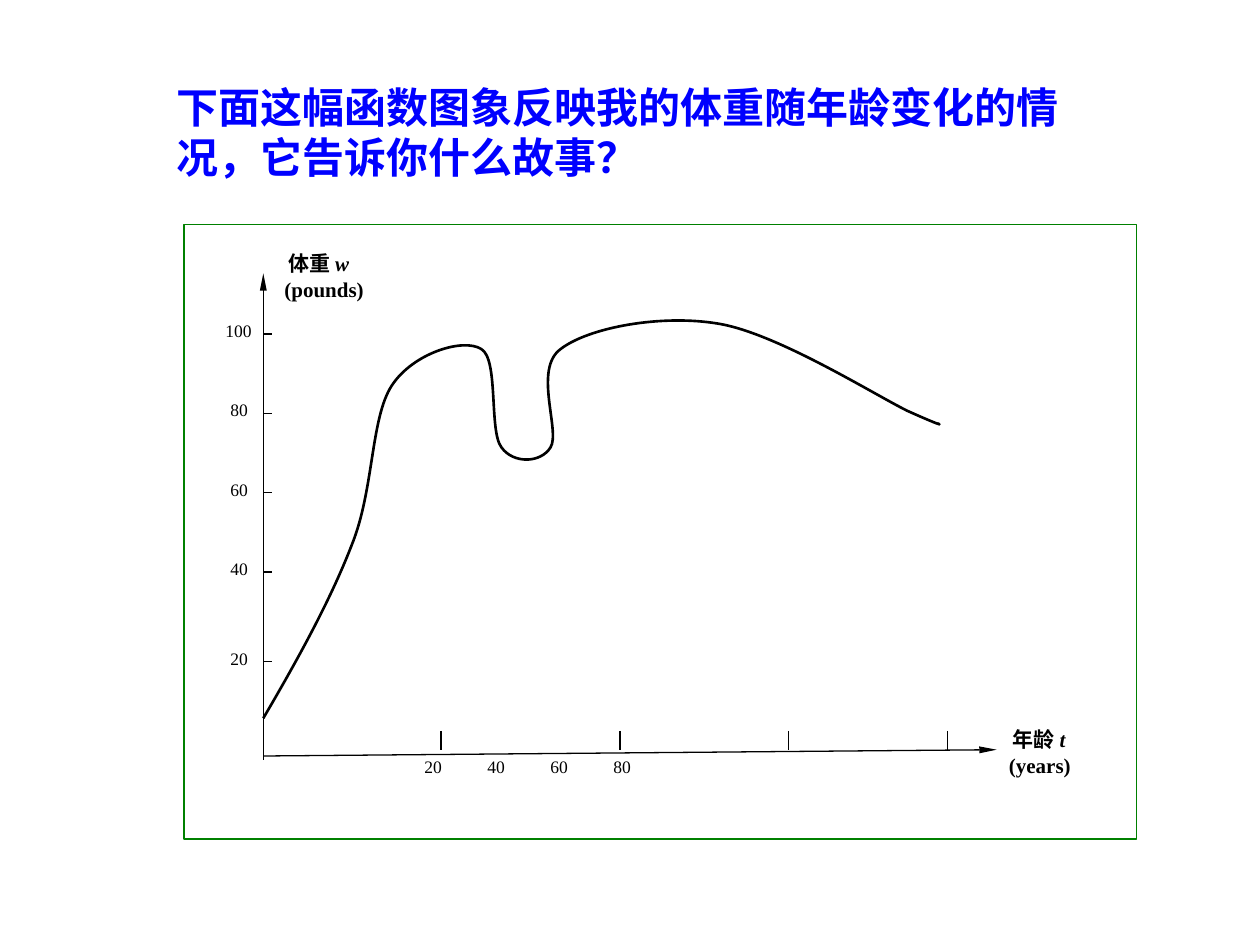
import dataclasses
import typing

import lxml.etree
import pptx
import pptx.dml.color
import pptx.enum.shapes
import pptx.oxml.ns
import pptx.util

EMU_PER_PX = 9144  # 100 px to the inch

Point = tuple[int, int]


@dataclasses.dataclass(frozen=True)
class Theme:
    latin_font: str = "Times New Roman"
    chinese_font: str = "Noto Sans CJK SC"
    title_color: str = "0000FF"
    ink: str = "000000"
    paper: str = "FFFFFF"
    frame_color: str = "008000"
    title_size: float = 24
    axis_size: float = 12
    tick_size: float = 10
    title_spacing: float = 28.6
    axis_spacing: float = 14.9
    thin_line: float = 0.75
    curve_line: float = 1.5


THEME = Theme()


@dataclasses.dataclass(frozen=True)
class Box:
    left: int
    top: int
    width: int
    height: int


@dataclasses.dataclass(frozen=True)
class WeightTick:
    label: str
    position: int
    indent: int


@dataclasses.dataclass(frozen=True)
class AxisTitle:
    name: str
    symbol: str
    unit: str
    box: Box


TITLE = "下面这幅函数图象反映我的体重随年龄变化的情况，它告诉你什么故事？"
TITLE_BOX = Box(130, 60, 732, 90)
FRAME = Box(146, 178, 756, 488)

AXIS_LEFT = 209
WEIGHT_AXIS = ((AXIS_LEFT, 603), (AXIS_LEFT, 217))
AGE_AXIS = ((AXIS_LEFT, 600), (791, 595))
SPECK: Point = (272, 588)
TITLE_INDENT = 3
AXIS_TITLES = [
    AxisTitle("体重 ", "w", " (pounds)", Box(216, 193, 87, 50)),
    AxisTitle("年龄 ", "t", " (years)", Box(791, 571, 87, 50)),
]

AGE_TICKS = [350, 492, 626, 752]
AGE_LABELS = "20\t40\t60\t80"
AGE_LABEL_TABS = [148, 280, 404]
AGE_LABEL_BOX = Box(327, 595, 488, 27)
WEIGHT_TICKS = [
    WeightTick("20", 525, 4),
    WeightTick("40", 454, 4),
    WeightTick("60", 391, 4),
    WeightTick("80", 328, 4),
    WeightTick("100", 265, 0),
]

# Weight curve: a start, then two control points and an end for each segment
CURVE_START: Point = (209, 570)
CURVE_POINTS: list[Point] = [
    (236, 524), (262, 477), (279, 433),
    (297, 389), (294, 332), (311, 306),
    (328, 280), (368, 268), (382, 277),
    (396, 285), (388, 342), (398, 355),
    (407, 368), (429, 368), (437, 355),
    (445, 342), (423, 293), (445, 277),
    (467, 260), (525, 249), (571, 257),
    (617, 265), (692, 312), (720, 326),
    (749, 339), (747, 337), (744, 336),
]


def px(value: int) -> int:
    return value * EMU_PER_PX


def color(value: str) -> pptx.dml.color.RGBColor:
    return pptx.dml.color.RGBColor.from_string(value)


def add_element(parent: typing.Any, tag: str, **attributes: str) -> typing.Any:
    return lxml.etree.SubElement(parent, pptx.oxml.ns.qn(tag), attributes)


def style_line(shape: typing.Any, line_color: str, width: float) -> None:
    shape.line.color.rgb = color(line_color)
    shape.line.width = pptx.util.Pt(width)


def style_run(run: typing.Any, size: float, text_color: str, font: str = THEME.latin_font,
              bold: bool = False, italic: bool = False) -> None:
    run.font.size = pptx.util.Pt(size)
    run.font.bold = bold
    run.font.italic = italic
    run.font.color.rgb = color(text_color)
    run.font.name = font
    add_element(run.font._element, "a:ea", typeface=THEME.chinese_font)


def add_text(slide: typing.Any, box: Box, text: str, indent: int = 0) -> typing.Any:
    shape = slide.shapes.add_textbox(px(box.left), px(box.top), px(box.width), px(box.height))
    shape.text_frame.word_wrap = True
    shape.text_frame.text = text
    paragraph = shape.text_frame.paragraphs[0]
    paragraph._p.get_or_add_pPr().set("indent", str(px(indent)))
    return paragraph


def add_line(slide: typing.Any, start: Point, end: Point, arrow: bool = False) -> None:
    connector = slide.shapes.add_connector(
        pptx.enum.shapes.MSO_CONNECTOR.STRAIGHT, *map(px, start + end))
    style_line(connector, THEME.ink, THEME.thin_line)
    if arrow:
        add_element(connector.line._get_or_add_ln(), "a:tailEnd",
                    type="triangle", w="sm", len="lg")
    add_element(connector._element.spPr, "a:effectLst")


def add_title(slide: typing.Any) -> None:
    paragraph = add_text(slide, TITLE_BOX, TITLE)
    paragraph.line_spacing = pptx.util.Pt(THEME.title_spacing)
    style_run(paragraph.runs[0], THEME.title_size, THEME.title_color,
              THEME.chinese_font, bold=True)


def add_frame(slide: typing.Any) -> None:
    frame = slide.shapes.add_shape(
        pptx.enum.shapes.MSO_SHAPE.RECTANGLE,
        px(FRAME.left), px(FRAME.top), px(FRAME.width), px(FRAME.height))
    frame.shadow.inherit = False
    frame.fill.solid()
    frame.fill.fore_color.rgb = color(THEME.paper)
    style_line(frame, THEME.frame_color, THEME.thin_line)


def add_curve(slide: typing.Any) -> None:
    builder = slide.shapes.build_freeform(px(CURVE_START[0]), px(CURVE_START[1]))
    builder.add_line_segments([(px(x), px(y)) for x, y in CURVE_POINTS], close=False)
    curve = builder.convert_to_shape()
    # Join every three straight segments into one Bézier segment
    segments = list(curve._element.iter(pptx.oxml.ns.qn("a:lnTo")))
    outline = segments[0].getparent()
    for first in range(0, len(segments), 3):
        bezier = add_element(outline, "a:cubicBezTo")
        for segment in segments[first:first + 3]:
            bezier.append(segment[0])
            outline.remove(segment)
    curve.shadow.inherit = False
    curve.fill.background()
    style_line(curve, THEME.ink, THEME.curve_line)


def add_age_labels(slide: typing.Any) -> None:
    paragraph = add_text(slide, AGE_LABEL_BOX, AGE_LABELS)
    tabs = add_element(paragraph._p.get_or_add_pPr(), "a:tabLst")
    for position in AGE_LABEL_TABS:
        add_element(tabs, "a:tab", pos=str(px(position)), algn="l")
    style_run(paragraph.runs[0], THEME.tick_size, THEME.ink)


def add_weight_tick(slide: typing.Any, tick: WeightTick) -> None:
    add_line(slide, (AXIS_LEFT, tick.position), (AXIS_LEFT + 7, tick.position))
    paragraph = add_text(slide, Box(169, tick.position - 16, 55, 27), tick.label, tick.indent)
    style_run(paragraph.runs[0], THEME.tick_size, THEME.ink)


def add_axis_title(slide: typing.Any, title: AxisTitle) -> None:
    paragraph = add_text(slide, title.box, title.name, TITLE_INDENT)
    paragraph.line_spacing = pptx.util.Pt(THEME.axis_spacing)
    for text in (title.symbol, title.unit):
        paragraph.add_run().text = text
    for run in paragraph.runs:
        style_run(run, THEME.axis_size, THEME.ink, bold=True, italic=run.text == title.symbol)


def main() -> None:
    presentation = pptx.Presentation()
    presentation.slide_width, presentation.slide_height = px(1000), px(750)
    slide = presentation.slides.add_slide(presentation.slide_layouts[6])

    # Heading and frame
    add_title(slide)
    add_frame(slide)

    # Axes, curve and the small dot above the age axis
    for start, end in (WEIGHT_AXIS, AGE_AXIS):
        add_line(slide, start, end, arrow=True)
    add_curve(slide)
    add_line(slide, SPECK, SPECK)

    # Ticks with their labels
    for position in AGE_TICKS:
        add_line(slide, (position, 580), (position, 595))
    add_age_labels(slide)
    for tick in WEIGHT_TICKS:
        add_weight_tick(slide, tick)

    # Axis titles
    for title in AXIS_TITLES:
        add_axis_title(slide, title)

    presentation.save("out.pptx")


if __name__ == "__main__":
    main()
